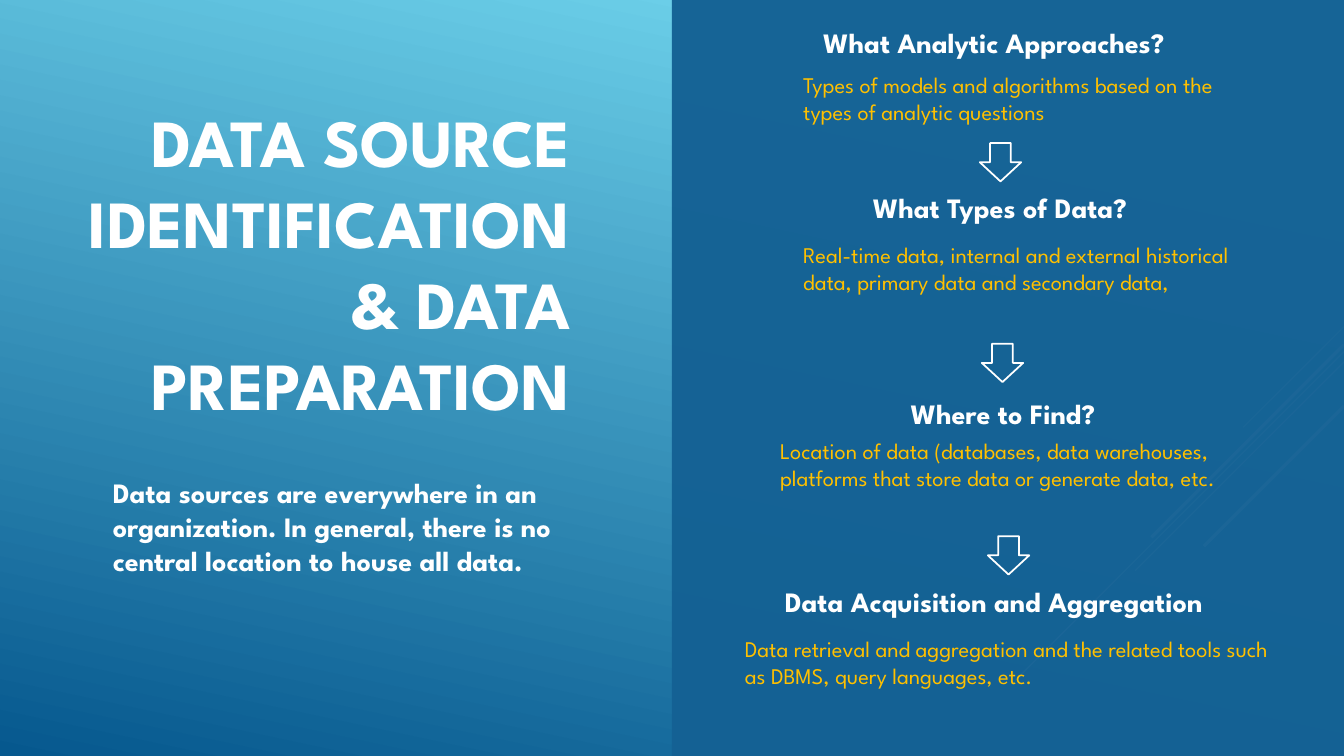
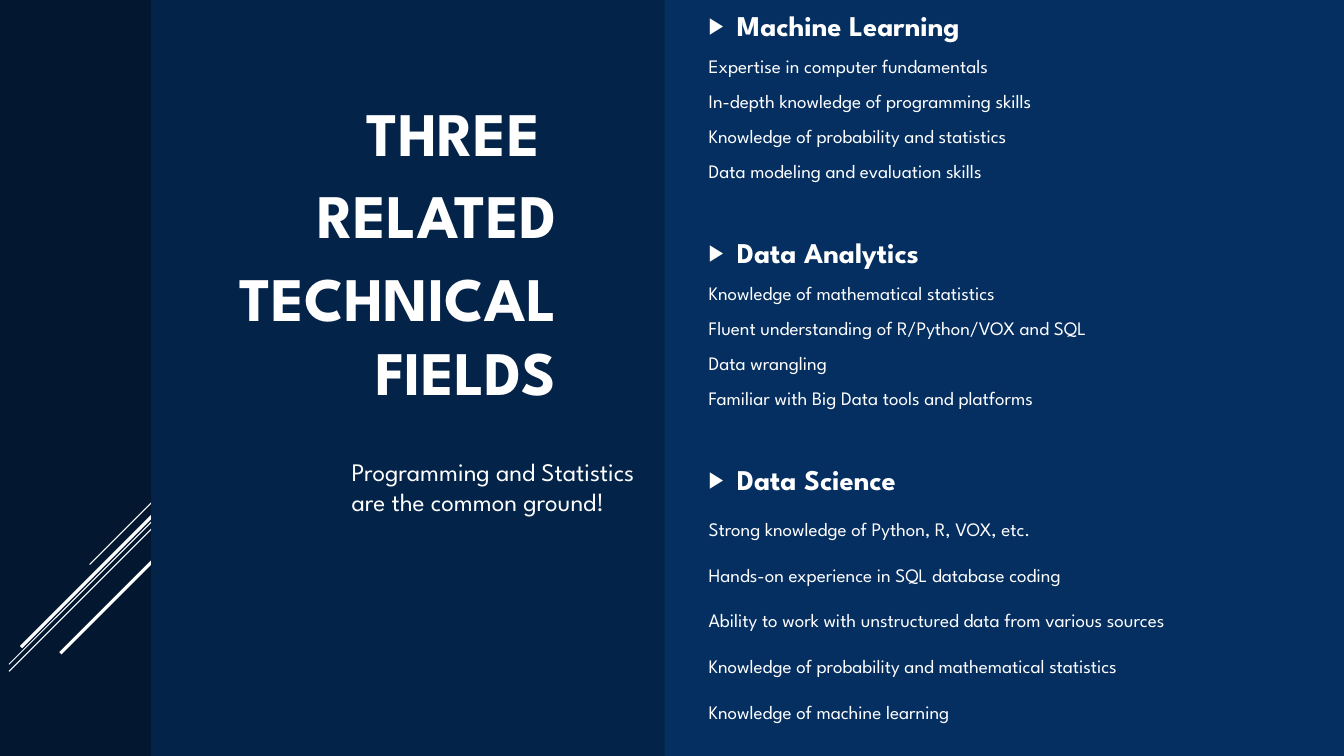
from lxml import etree
from pptx import Presentation, util as u
from pptx.dml.color import RGBColor
from pptx.enum import shapes, text
from pptx.oxml import ns

COLORS = {
    "white": "FFFFFF", "gold": "FFC000", "sky": "6ED2EB", "ocean": "06588E",
    "steel": "146194", "night": "031730", "navy": "042349", "royal": "052F61",
}
FONT = "League Spartan"
RIGHT, CENTER, LEFT = text.PP_ALIGN.RIGHT, text.PP_ALIGN.CENTER, text.PP_ALIGN.LEFT

deck = Presentation()
deck.slide_width, deck.slide_height = u.Inches(13.33), u.Inches(7.5)
# The grid: one hundred columns by one hundred rows.
COLUMN, ROW = deck.slide_width / 100, deck.slide_height / 100


def grid(left, top, width, height):
    """Turn columns and rows into lengths."""
    return int(left * COLUMN), int(top * ROW), int(width * COLUMN), int(height * ROW)


def write(box, cells, words, size, color="white", bold=False, align=LEFT, after=6,
          anchor=text.MSO_ANCHOR.TOP):
    """Place a text shape in front and fill it, one paragraph per line of words."""
    box.left, box.top, box.width, box.height = grid(*cells)
    box.element.getparent().append(box.element)
    frame = box.text_frame
    frame.text = words
    frame.word_wrap = True
    frame.auto_size = text.MSO_AUTO_SIZE.NONE
    frame.vertical_anchor = anchor
    for para in frame.paragraphs:
        para.alignment = align
        para.space_before, para.space_after = u.Pt(0), u.Pt(after)
        properties = para._p.get_or_add_pPr()
        properties.set("marL", "0")
        properties.set("indent", "0")
        etree.SubElement(properties, ns.qn("a:buNone"))
        for span in para.runs:
            span.font.name, span.font.size, span.font.bold = FONT, u.Pt(size), bold
            span.font.color.rgb = RGBColor.from_string(COLORS[color])


# Rays: top row, length in rows, line width. Bands: left, width, colour, opacity.
LOOKS = [
    {"title": "DATA SOURCE IDENTIFICATION & DATA PREPARATION",
     "title cells": (3.68, 16.13, 39.53, 37.07), "title size": 48.1,
     "rays end": 100,
     "rays": [(43.2, 13.33, 0.75), (46.53, 43.47, 0.75), (47.87, 27.6, 0.75),
              (45.6, 25.47, 2.25), (53.73, 18.53, 2.25)],
     "bands": [(50, 50, "steel", 97)]},
    {"title": "THREE \nRELATED\nTECHNICAL FIELDS",
     "title cells": (2.63, 14.67, 39.53, 37.07), "title size": 44.2,
     "rays end": 12.3,
     "rays": [(64.67, 10, 0.75), (67.2, 20.67, 0.75), (68.13, 20.67, 0.75),
              (66.53, 19.07, 2.25), (72.53, 13.87, 2.25)],
     "bands": [(11.25, 38.18, "navy", 100), (49.43, 50.57, "royal", 100)]},
]

for look in LOOKS:
    page = deck.slides.add_slide(deck.slide_layouts[1])
    end = int(look["rays end"] * COLUMN)
    for top, length, weight in look["rays"]:
        ray = page.shapes.add_connector(
            shapes.MSO_CONNECTOR.STRAIGHT, end, int(top * ROW),
            end - int(length * ROW), int((top + length) * ROW))
        ray.line.color.rgb = RGBColor.from_string(COLORS["white"])
        ray.line.width = u.Pt(weight)
        etree.SubElement(ray.element.spPr, ns.qn("a:effectLst"))
    for left, width, color, opacity in look["bands"]:
        band = page.shapes.add_shape(shapes.MSO_SHAPE.RECTANGLE, *grid(left, 0, width, 100))
        band.shadow.inherit = False
        band.line.fill.background()
        band.fill.solid()
        band.fill.fore_color.rgb = RGBColor.from_string(COLORS[color])
        if opacity < 100:
            tint = band.element.spPr.find(".//" + ns.qn("a:srgbClr"))
            etree.SubElement(tint, ns.qn("a:alpha"), val=str(opacity * 1000))
    write(page.shapes.title, look["title cells"], look["title"], look["title size"],
          bold=True, align=RIGHT, anchor=text.MSO_ANCHOR.MIDDLE)

sources, fields = deck.slides

# Data sources
backdrop = sources.background.fill
backdrop.gradient()
backdrop.gradient_angle = 360 - 102
for stop, position, color in zip(backdrop.gradient_stops, (0.1, 1), ("sky", "ocean")):
    stop.position = position
    stop.color.rgb = RGBColor.from_string(COLORS[color])

write(sources.placeholders[1], (7.65, 62.27, 34.8, 19.33),
      "Data sources are everywhere in an organization. In general, there is no "
      "central location to house all data.", 20, bold=True)

# Heading, its centre column and row; detail, its left column, row and width.
STEPS = [
    ("What Analytic Approaches?", 73.95, 2.67,
     "Types of models and algorithms based on the types of analytic questions",
     59.03, 8.8, 34.2),
    ("What Types of Data?", 74.4, 24.53,
     "Real-time data, internal and external historical data, primary data and "
     "secondary data,", 59.03, 31.2, 34.2),
    ("Where to Find?", 74.63, 51.73,
     "Location of data (databases, data warehouses, platforms that store data or "
     "generate data, etc.", 57.3, 57.2, 34.2),
    ("Data Acquisition and Aggregation", 73.95, 76.67,
     "Data retrieval and aggregation and the related tools such as DBMS, query "
     "languages, etc.", 54.68, 83.33, 40.5),
]
HEADING_WIDTH = 38.55
for heading, center, heading_row, detail, left, detail_row, width in STEPS:
    write(sources.shapes.add_textbox(0, 0, 0, 0),
          (center - HEADING_WIDTH / 2, heading_row, HEADING_WIDTH, 5.87),
          heading, 20, bold=True, align=CENTER)
    write(sources.shapes.add_textbox(0, 0, 0, 0), (left, detail_row, width, 12),
          detail, 16, color="gold", after=0)

for left, top in [(72.9, 18.93), (73.05, 45.47), (73.5, 70.93)]:
    arrow = sources.shapes.add_shape(shapes.MSO_SHAPE.DOWN_ARROW, *grid(left, top, 3.08, 5.07))
    arrow.shadow.inherit = False
    arrow.fill.background()
    arrow.line.color.rgb = RGBColor.from_string(COLORS["white"])
    arrow.line.width = u.Pt(1.25)

# Technical fields
fields.background.fill.solid()
fields.background.fill.fore_color.rgb = RGBColor.from_string(COLORS["night"])

# Space before the heading, before the first skill, before the others; space after a skill.
FIELDS = [
    ("Machine Learning", (0, 2.7, 2.7, 6),
     ["Expertise in computer fundamentals", "In-depth knowledge of programming skills",
      "Knowledge of probability and statistics", "Data modeling and evaluation skills"]),
    ("Data Analytics", (31.5, 2.7, 2.7, 6),
     ["Knowledge of mathematical statistics", "Fluent understanding of R/Python/VOX and SQL",
      "Data wrangling", "Familiar with Big Data tools and platforms"]),
    ("Data Science", (31.5, 9.2, 16.3, 0),
     ["Strong knowledge of Python, R, VOX, etc.", "Hands-on experience in SQL database coding",
      "Ability to work with unstructured data from various sources",
      "Knowledge of probability and mathematical statistics", "Knowledge of machine learning"]),
]
skill_list = fields.placeholders[1]
write(skill_list, (51.98, 0.4, 44.4, 98),
      "\n".join(line for name, gaps, skills in FIELDS for line in [name, *skills]), 13.6)

paragraphs = iter(skill_list.text_frame.paragraphs)
for name, (above, first, between, after), skills in FIELDS:
    para = next(paragraphs)
    para.space_before = u.Pt(above)
    para.runs[0].font.size, para.runs[0].font.bold = u.Pt(20.4), True
    properties = para._p.get_or_add_pPr()
    properties.remove(properties.find(ns.qn("a:buNone")))
    properties.set("marL", str(u.Inches(0.28)))
    properties.set("indent", str(-u.Inches(0.28)))
    bullet_color = etree.SubElement(properties, ns.qn("a:buClr"))
    etree.SubElement(bullet_color, ns.qn("a:srgbClr"), val=COLORS["white"])
    etree.SubElement(properties, ns.qn("a:buSzPct"), val="80000")
    etree.SubElement(properties, ns.qn("a:buChar"), char="▶")
    for number, skill in enumerate(skills):
        para = next(paragraphs)
        para.space_before = u.Pt(between if number else first)
        para.space_after = u.Pt(after)

write(fields.shapes.add_textbox(0, 0, 0, 0), (25.43, 59.73, 23.25, 13.47),
      "Programming and Statistics are the common ground!", 18)

deck.save("out.pptx")
